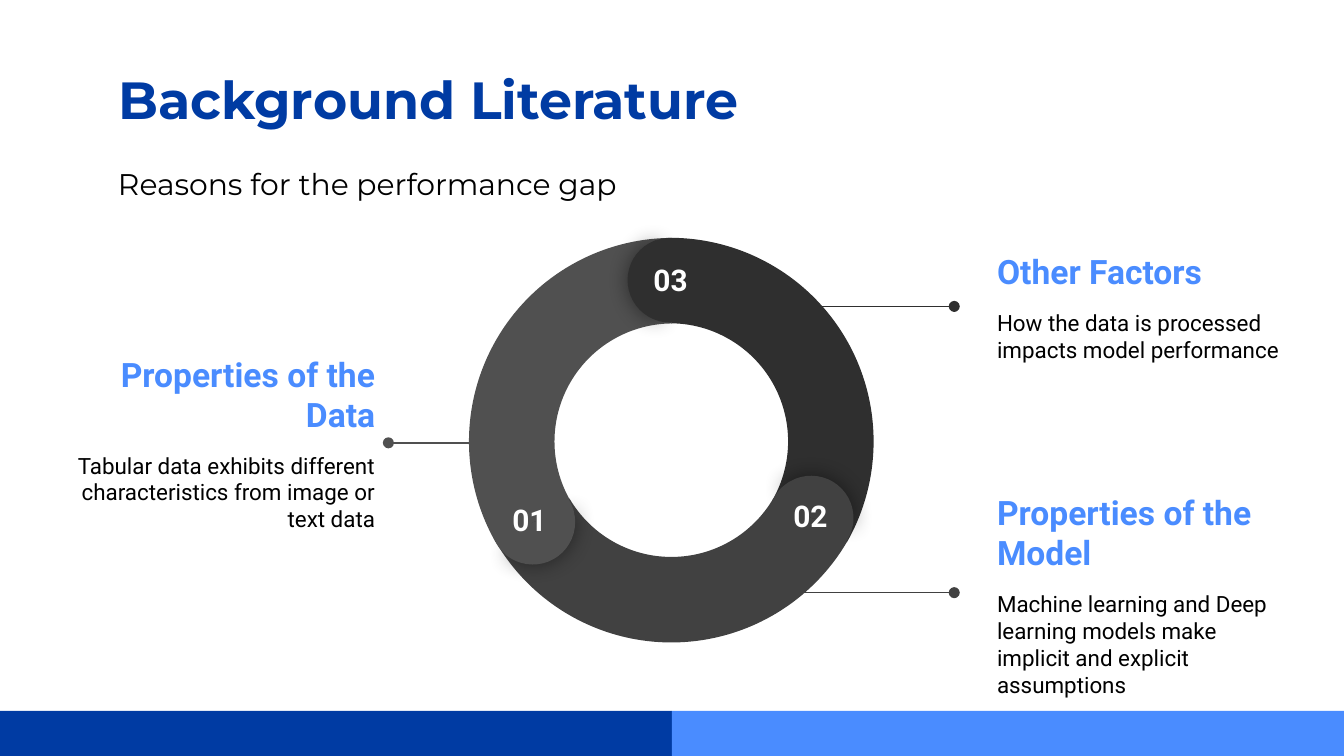
from lxml import etree
from pptx import Presentation
from pptx import util as u
from pptx.dml.color import RGBColor
from pptx.enum import shapes, text
from pptx.oxml.ns import qn

COLORS = {
    "navy": "003BA3", "sky": "4A8CFF", "black": "000000", "white": "FFFFFF",
    "light": "505050", "medium": "414141", "dark": "2F2F2F",
}
ARC_ANGLES = (126.23, 197.82, 0.21)
CAP_SHADED = (61.9, 149.96)
CAP_FRONT = (40.28, 171.84)
RING, CAP = 3.03, 0.63
REASON_HEIGHT = 1.41


class SlideBuilder:
    """Holds the colours, the fonts and the slide being built."""

    def __init__(self, deck, colors, heading_font="Montserrat", text_font="Roboto"):
        self.slide = deck.slides.add_slide(deck.slide_layouts[5])
        self.colors = colors
        self.heading_font = heading_font
        self.text_font = text_font

    def rgb(self, color):
        return RGBColor.from_string(self.colors[color])

    def style(self, paragraph, font, size, color, bold=False, align=text.PP_ALIGN.LEFT):
        paragraph.alignment = align
        paragraph.font.name = font
        paragraph.font.size = u.Pt(size)
        paragraph.font.bold = bold
        paragraph.font.color.rgb = self.rgb(color)

    def frame(self, holder, anchor):
        frame = holder.text_frame
        frame.word_wrap = True
        frame.auto_size = text.MSO_AUTO_SIZE.NONE
        frame.vertical_anchor = anchor
        frame.margin_left = frame.margin_right = u.Inches(0.1)
        frame.margin_top = frame.margin_bottom = u.Inches(0.1)
        return frame

    def title(self, words, box):
        title = self.slide.shapes.title
        title.left, title.top, title.width, title.height = map(u.Inches, box)
        frame = self.frame(title, text.MSO_ANCHOR.MIDDLE)
        frame.text = words
        self.style(frame.paragraphs[0], self.heading_font, 28, "navy", True)

    def label(self, words, box, font, color, bold=False, align=text.PP_ALIGN.LEFT):
        label = self.slide.shapes.add_textbox(*map(u.Inches, box))
        frame = self.frame(label, text.MSO_ANCHOR.TOP)
        frame.text = words
        self.style(frame.paragraphs[0], font, 16, color, bold, align)

    def reason(self, heading, detail, box, align):
        reason = self.slide.shapes.add_textbox(*map(u.Inches, box))
        frame = self.frame(reason, text.MSO_ANCHOR.MIDDLE)
        frame.text = heading
        self.style(frame.paragraphs[0], self.text_font, 18, "sky", True, align)
        description = frame.add_paragraph()
        description.text = detail
        description.space_before = u.Pt(9.4)
        self.style(description, self.text_font, 12, "black", False, align)
        return reason

    def shape(self, preset, box, color, rotation=0, adjustments=()):
        shape = self.slide.shapes.add_shape(preset, *map(u.Inches, box))
        shape.shadow.inherit = False
        shape.fill.solid()
        shape.fill.fore_color.rgb = self.rgb(color)
        shape.line.fill.background()
        shape.rotation = rotation % 360
        for index, value in enumerate(adjustments):
            shape.adjustments[index] = value
        return shape

    def glow(self, shape):
        effects = shape._element.spPr.find(qn("a:effectLst"))
        shadow = etree.SubElement(effects, qn("a:outerShdw"), blurRad=str(u.Pt(11.2)),
                                  dist="0", dir="0", algn="ctr", rotWithShape="0")
        shade = etree.SubElement(shadow, qn("a:srgbClr"), val=self.colors["black"])
        etree.SubElement(shade, qn("a:alpha"), val="43000")

    def leader(self, start, end, y, color):
        leader = self.slide.shapes.add_connector(
            shapes.MSO_CONNECTOR.STRAIGHT, *map(u.Inches, (start, y, end, y)))
        leader.line.width = u.Pt(0.75)
        leader.line.color.rgb = self.rgb(color)
        properties = leader._element.spPr
        etree.SubElement(properties.find(qn("a:ln")), qn("a:tailEnd"), type="oval")
        etree.SubElement(properties, qn("a:effectLst"))
        return leader


def main():
    deck = Presentation()
    deck.slide_width = u.Inches(10)
    deck.slide_height = deck.slide_width * 9 // 16
    page = SlideBuilder(deck, COLORS)
    preset = shapes.MSO_SHAPE

    for left, color in ((0, "navy"), (5, "sky")):
        page.shape(preset.RECTANGLE, (left, 5.29, 5, 0.34), color)
    page.title("Background Literature", (0.78, 0.42, 8.44, 0.63))
    page.label("Reasons for the performance gap", (0.78, 1.13, 8.44, 0.47),
               page.heading_font, "black")

    data_top = 2.59
    data_reason = page.reason(
        "Properties of the Data",
        "Tabular data exhibits different characteristics from image or text data",
        (0.32, data_top, 2.57, REASON_HEIGHT), text.PP_ALIGN.RIGHT)
    data_leader = page.leader(3.58, 2.89, data_top + REASON_HEIGHT / 2, "light")
    data_leader.end_connect(data_reason, 3)

    right_reasons = (
        ("Other Factors", "How the data is processed impacts model performance",
         1.58, 2.28, "dark"),
        ("Properties of the Model",
         "Machine learning and Deep learning models make implicit and explicit assumptions",
         3.72, 4.41, "medium"),
    )
    for heading, detail, top, leader_y, color in right_reasons:
        page.reason(heading, detail, (7.32, top, 2.32, REASON_HEIGHT), text.PP_ALIGN.LEFT)
        page.leader(5.7, 7.1, leader_y, color)

    segments = (
        ("03", "dark", 60, (3.47, 1.77), (4.67, 1.77), (4.71, 1.85)),
        ("02", "medium", 180, (3.48, 1.75), (5.72, 3.54), (5.75, 3.6)),
        ("01", "light", 300, (3.49, 1.77), (3.65, 3.57), (3.66, 3.63)),
    )
    for _, color, turn, ring_corner, _, _ in segments:
        page.shape(preset.BLOCK_ARC, (*ring_corner, RING, RING), color, turn, ARC_ANGLES)
    for number, color, turn, _, cap_corner, number_corner in segments:
        cap_box = (*cap_corner, CAP, CAP)
        page.glow(page.shape(preset.PIE, cap_box, color, turn + 300.7, CAP_SHADED))
        page.shape(preset.PIE, cap_box, color, turn + 120, CAP_FRONT)
        page.label(number, (*number_corner, 0.56, 0.29),
                   page.text_font, "white", True, text.PP_ALIGN.CENTER)

    deck.save("out.pptx")


if __name__ == "__main__":
    main()
